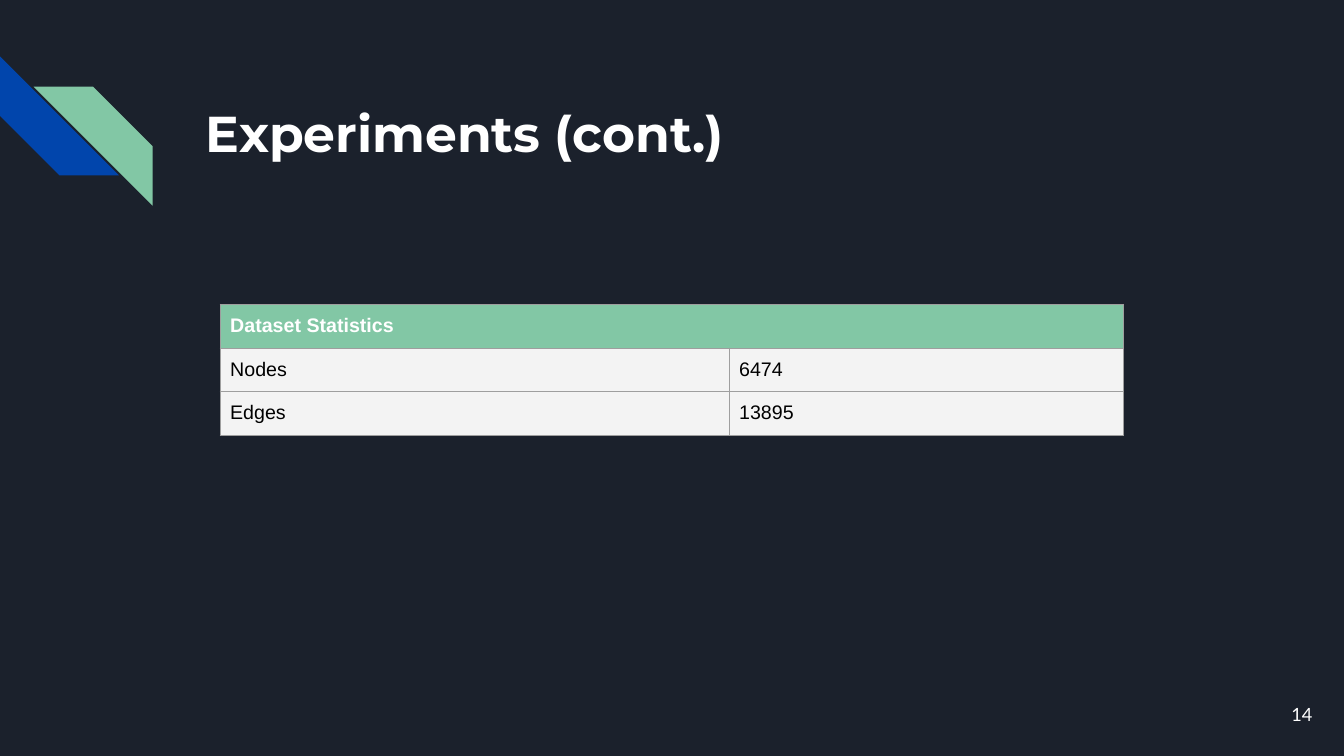
from dataclasses import dataclass

from lxml import etree
from pptx import Presentation
from pptx import util as u
from pptx.dml.color import RGBColor
from pptx.enum import shapes, text
from pptx.oxml.ns import qn


@dataclass(frozen=True)
class Theme:
    back: str = "1B212C"
    blue: str = "0145AC"
    green: str = "82C7A5"
    white: str = "FFFFFF"
    black: str = "000000"
    cell: str = "F3F3F3"
    border: str = "9E9E9E"
    border_pt: float = 0.75
    title_font: str = "Montserrat"
    number_font: str = "Lato"
    table_font: str = "Arial"
    title_pt: int = 36
    table_pt: int = 14
    number_pt: int = 13
    text_inset: float = 0.13
    cell_inset: float = 0.1


class Deck:
    """Style and current slide; lengths are units of a 160 x 90 grid."""
    COLS, ROWS = 160, 90

    def __init__(self, theme):
        self.theme = theme
        self.prs = Presentation()
        self.prs.slide_width, self.prs.slide_height = u.Inches(13.33), u.Inches(7.5)
        self.slide = self.prs.slides.add_slide(self.prs.slide_layouts[6])
        self.fill(self.slide.background, theme.back)

    def x(self, cols):
        return round(self.prs.slide_width * cols / self.COLS)

    def y(self, rows):
        return round(self.prs.slide_height * rows / self.ROWS)

    def box(self, left, top, width, height):
        return self.x(left), self.y(top), self.x(width), self.y(height)

    def fill(self, target, color):
        target.fill.solid()
        target.fill.fore_color.rgb = RGBColor.from_string(color)

    def inset(self, target, inches):
        for side in ("left", "top", "right", "bottom"):
            setattr(target, f"margin_{side}", u.Inches(inches))

    def run(self, p, words, font, size, color, bold=False):
        r = p.add_run()
        r.text = words
        r.font.name, r.font.size, r.font.bold = font, u.Pt(size), bold
        r.font.color.rgb = RGBColor.from_string(color)

    def stripe(self, left, top, side, color, rotation):
        sp = self.slide.shapes.add_shape(
            shapes.MSO_SHAPE.DIAGONAL_STRIPE, *self.box(left, top, side, side))
        sp.adjustments[0] = 0.5
        sp.rotation = rotation
        sp.shadow.inherit = False
        self.fill(sp, color)
        sp.line.fill.background()

    def label(self, place, words, font, size, bold=False,
              align=text.PP_ALIGN.LEFT, anchor=text.MSO_ANCHOR.TOP):
        tf = self.slide.shapes.add_textbox(*self.box(*place)).text_frame
        tf.word_wrap = True
        tf.vertical_anchor = anchor
        self.inset(tf, self.theme.text_inset)
        p = tf.paragraphs[0]
        p.alignment = align
        self.run(p, words, font, size, self.theme.white, bold)

    def outline(self, cell):
        tc_pr = cell._tc.get_or_add_tcPr()
        for tag in ("a:lnL", "a:lnR", "a:lnT", "a:lnB"):
            ln = etree.SubElement(tc_pr, qn(tag), w=str(u.Pt(self.theme.border_pt)))
            solid = etree.SubElement(ln, qn("a:solidFill"))
            etree.SubElement(solid, qn("a:srgbClr"), val=self.theme.border)

    def table(self, left, top, widths, row_height, heading, rows):
        t = self.theme
        place = self.box(left, top, sum(widths), row_height * (len(rows) + 1))
        tbl = self.slide.shapes.add_table(len(rows) + 1, len(widths), *place).table
        tbl.horz_banding = False
        for column, width in zip(tbl.columns, widths):
            column.width = self.x(width)
        tbl.cell(0, 0).merge(tbl.cell(0, len(widths) - 1))

        for i, values in enumerate([(heading, ""), *rows]):
            for j, value in enumerate(values):
                cell = tbl.cell(i, j)
                head = i == 0
                self.outline(cell)
                self.fill(cell, t.green if head else t.cell)
                self.inset(cell, t.cell_inset)
                if value:
                    self.run(cell.text_frame.paragraphs[0], value, t.table_font,
                             t.table_pt, t.white if head else t.black, head)


def main():
    theme = Theme()
    deck = Deck(theme)

    # Corner stripes
    deck.stripe(0, 6.72, 14.16, theme.blue, 270)
    deck.stripe(4, 10.32, 14.16, theme.green, 90)

    # Slide number and title
    deck.label((148.2, 81.6, 9.6, 6.84), "14", theme.number_font, theme.number_pt,
               align=text.PP_ALIGN.RIGHT, anchor=text.MSO_ANCHOR.MIDDLE)
    deck.label((22.92, 10.56, 123.12, 15.96), "Experiments (cont.)",
               theme.title_font, theme.title_pt, bold=True)

    # Dataset statistics
    deck.table(26.2, 36.24, (60.6, 46.92), 5, "Dataset Statistics",
               [("Nodes", "6474"), ("Edges", "13895")])

    deck.prs.save("out.pptx")


if __name__ == "__main__":
    main()
